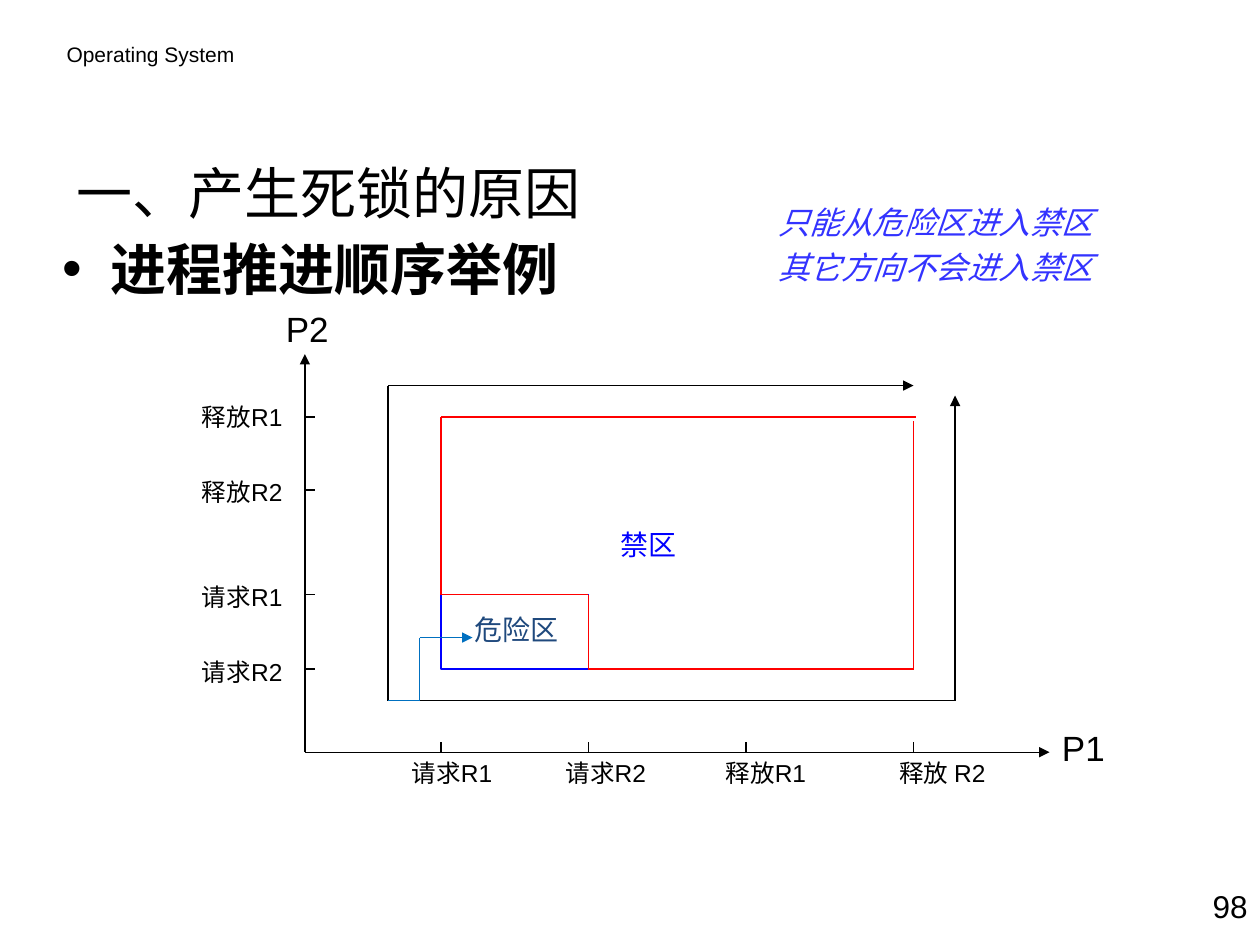
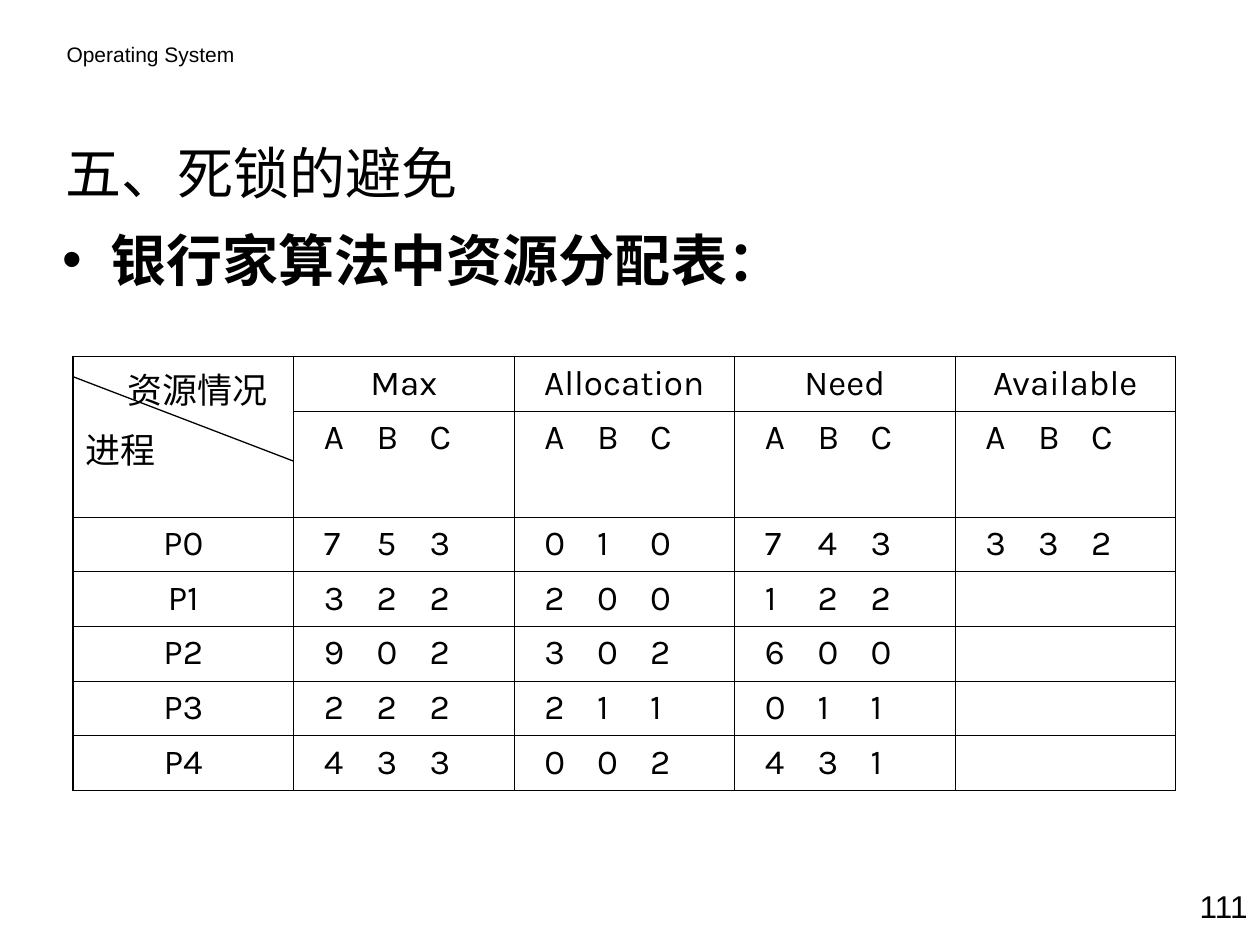
from dataclasses import dataclass
from itertools import pairwise

from lxml.etree import SubElement as Sub
from pptx import Presentation
from pptx.dml.color import RGBColor as RGB
from pptx.enum.shapes import MSO_CONNECTOR as Conn, MSO_SHAPE as Shape
from pptx.enum.text import MSO_ANCHOR as Anchor, PP_ALIGN as Align
from pptx.oxml.ns import qn
from pptx.util import Inches, Pt


@dataclass(frozen=True)
class Theme:
    # Colours
    ink: str = "000000"
    red: str = "FF0000"
    blue: str = "0000FF"
    navy: str = "1F497D"
    sky: str = "0070C0"
    note: str = "3333FF"
    # Fonts
    sans: str = "Arial"
    han: str = "Noto Sans CJK SC"
    grid: str = "Karla"
    # Type sizes
    head: int = 32
    axis: int = 20
    side: int = 18
    zone: int = 16
    tick: int = 14
    band: int = 12
    # Line widths
    line: float = 0.75
    thin: float = 0.45
    edge: float = 1.08


T = Theme()


# Shared helpers

def assign(item, values):
    for key, value in values.items():
        setattr(item, key, value)


def style(run, size, color=T.ink, face=T.sans, **more):
    assign(run.font, {"size": Pt(size), "name": face, **more})
    run.font.color.rgb = RGB.from_string(color)
    Sub(run._r.get_or_add_rPr(), qn("a:ea"), typeface=T.han)


def set_tabs(para, stops):
    tabs = Sub(para._p.get_or_add_pPr(), qn("a:tabLst"))
    for stop in stops:
        Sub(tabs, qn("a:tab"), pos=str(Inches(stop)), algn="l")


def set_bullet(para):
    props = para._p.get_or_add_pPr()
    props.set("marL", str(Inches(0.38)))
    props.set("indent", str(-Inches(0.38)))
    Sub(props, qn("a:buFont"), typeface=T.sans)
    Sub(props, qn("a:buChar"), char="•")


def write(frame, lines, size, align=Align.LEFT, gaps=(), **look):
    """Fill a frame; gaps holds the space before each line after the first."""
    for i, line in enumerate(lines):
        para = frame.add_paragraph() if i else frame.paragraphs[0]
        para.alignment = align
        if i and gaps:
            para.space_before = Pt(gaps[i - 1])
        run = para.add_run()
        run.text = line
        style(run, size, **look)


def add_text(slide, box, lines, size, frame_look=None, **look):
    frame = slide.shapes.add_textbox(*map(Inches, box)).text_frame
    assign(frame, {"word_wrap": True, **(frame_look or {})})
    write(frame, lines, size, **look)
    return frame


def add_route(slide, points, color=T.ink, arrow=False):
    """Join the points with lines, the last of which may carry an arrow."""
    for start, end in pairwise(points):
        line = slide.shapes.add_connector(
            Conn.STRAIGHT, *map(Inches, (*start, *end)))
        line.line.width = Pt(T.line)
        line.line.color.rgb = RGB.from_string(color)
        props = line._element.spPr
        if arrow and end == points[-1]:
            Sub(props.find(qn("a:ln")), qn("a:tailEnd"), type="triangle")
        Sub(props, qn("a:effectLst"))


def add_frame(deck, title, title_at, topic, topic_top, number):
    """Band, title, bulleted topic and page number of every slide."""
    slide = deck.slides.add_slide(deck.slide_layouts[6])
    add_text(slide, (0.43, 0.28, 4.1, 0.3), ["Operating System"], T.band)
    add_text(slide, (*title_at, 9, 0.75), [title], T.head,
             {"vertical_anchor": Anchor.MIDDLE}, face=T.han)
    body = add_text(slide, (0.5, topic_top, 9.5, 0.92), [topic], T.head,
                    {"margin_left": 0, "margin_right": 0},
                    face=T.han, bold=True)
    set_bullet(body.paragraphs[0])
    add_text(slide, (9, 6.99, 1, 0.4), [number], T.side, align=Align.RIGHT)
    return slide


# Progress diagram

def add_plot(slide, left, top):
    def at(*points):
        return [(left + x, top + y) for x, y in points]

    def label(x, y, wide, high, lines, size, **look):
        return add_text(slide, (left + x, top + y, wide, high),
                        lines, size, **look)

    zero_x, zero_y = 1, 3.58
    cols = ask1, ask2, _, free2 = 2.08, 3.25, 4.5, 5.83
    rows = low, mid, _, high = 2.92, 2.33, 1.5, 0.92
    tick = 0.08

    # Axes and ticks
    for end in ((6.91, zero_y), (zero_x, 0.42)):
        add_route(slide, at((zero_x, zero_y), end), arrow=True)
    for x in cols:
        add_route(slide, at((x, zero_y - tick), (x, zero_y)))
    for y in rows:
        add_route(slide, at((zero_x, y), (zero_x + tick, y)))

    # Axis names and tick labels
    label(6.91, 3.33, 0.58, 0.44, ["P1"], T.axis)
    label(0.75, 0, 0.58, 0.44, ["P2"], T.axis)
    names = label(1.75, zero_y, 5.08, 0.34,
                  ["请求R1\t请求R2\t释放R1\t释放 R2"], T.tick)
    set_tabs(names.paragraphs[0], (1.22, 2.49, 3.87))
    label(0, 0.75, 0.92, 2.36, ["释放R1", "释放R2", "请求R1", "请求R2"],
          T.tick, align=Align.RIGHT, gaps=(26.2, 43, 26.2))

    # Danger zone
    x, y = at((ask1, mid))[0]
    zone = slide.shapes.add_shape(
        Shape.RECTANGLE, *map(Inches, (x, y, ask2 - ask1, low - mid)))
    zone.shadow.inherit = False
    zone.fill.background()
    zone.line.width = Pt(T.line)
    zone.line.color.rgb = RGB.from_string(T.blue)

    # Outline of the forbidden zone
    for points in (
        [(ask1, mid), (ask1, high), (free2 + 0.02, high)],
        [(ask2, low), (free2, low), (free2, high + 0.03)],
        [(ask1, mid), (ask2, mid), (ask2, low)],
    ):
        add_route(slide, at(*points), T.red)
    label(2.25, 2.42, 0.92, 0.37, ["危险区"], T.zone, color=T.navy)
    label(3.41, 1.75, 0.92, 0.37, ["禁区"], T.zone, color=T.blue)

    # Safe routes around it and the route into danger
    start = (1.66, 3.17)
    for color, points in (
        (T.ink, [(6.16, 3.17), (6.16, 0.75)]),
        (T.ink, [(1.66, 0.67), (free2, 0.67)]),
        (T.sky, [(1.91, 3.17), (1.91, 2.67), (2.33, 2.67)]),
    ):
        add_route(slide, at(start, *points), color, arrow=True)


def add_cause(deck):
    slide = add_frame(deck, "一、产生死锁的原因", (0.51, 1.15),
                      "进程推进顺序举例", 1.81, "98")
    add_plot(slide, 1.42, 2.39)
    add_text(slide, (6.08, 1.56, 3.58, 0.77),
             ["只能从危险区进入禁区", "其它方向不会进入禁区"], T.side,
             gaps=(4.5,), color=T.note, italic=True)


# Allocation table

HEADS = ("Max", "Allocation", "Need", "Available")
ROWS = (
    ("P0", "753", "010", "743", "332"),
    ("P1", "322", "200", "122", ""),
    ("P2", "902", "302", "600", ""),
    ("P3", "222", "211", "011", ""),
    ("P4", "433", "002", "431", ""),
)


def set_borders(cell, outer):
    props = cell._tc.get_or_add_tcPr()
    for side in "LRTB":
        width = T.edge if side in outer else T.thin
        line = Sub(props, qn("a:ln" + side), w=str(Pt(width)))
        fill = Sub(line, qn("a:solidFill"))
        Sub(fill, qn("a:srgbClr"), val=T.ink)
    cell.fill.background()


def add_grid(slide, left, top, wide, high):
    data = [("", *HEADS), ("", *["ABC"] * len(HEADS)), *ROWS]
    count, span = len(data), len(data[0])
    table = slide.shapes.add_table(
        count, span, *map(Inches, (left, top, wide, high))).table
    assign(table, {"first_row": False, "horz_banding": False})
    for col in table.columns:
        col.width = Inches(wide / span)
    for i, row in enumerate(table.rows):
        row.height = Inches(0.84 if i == 1 else 0.43)

    # Cells: names are centred, triples stand on tab stops
    for i, values in enumerate(data):
        for j, text in enumerate(values):
            cell = table.cell(i, j)
            outer = {"L": j == 0, "R": j == span - 1,
                     "T": i == 0, "B": i == count - 1}
            set_borders(cell, [side for side, on in outer.items() if on])
            if i and j and text:
                cell.margin_left = Inches(0.24)
                write(cell.text_frame, ["\t".join(text)], T.axis, face=T.grid)
                set_tabs(cell.text_frame.paragraphs[0], (0.42, 0.84))
            elif text:
                write(cell.text_frame, [text], T.axis, Align.CENTER,
                      face=T.grid)

    # Split corner
    corner = table.cell(0, 0)
    corner.merge(table.cell(1, 0))
    write(corner.text_frame, ["资源情况", "进程"], T.axis, gaps=(5,),
          face=T.grid)
    first = corner.text_frame.paragraphs[0]
    first._p.get_or_add_pPr().set("marL", str(Inches(0.33)))
    add_route(slide, [(left, top + 0.16), (left + wide / span, top + 0.83)])


def add_avoid(deck):
    slide = add_frame(deck, "五、死锁的避免", (0.42, 0.99),
                      "银行家算法中资源分配表：", 1.74, "111")
    add_grid(slide, 0.58, 2.83, 8.75, 3.42)


def main():
    deck = Presentation()
    assign(deck, {"slide_width": Inches(10), "slide_height": Inches(7.5)})
    add_cause(deck)
    add_avoid(deck)
    deck.save("out.pptx")


if __name__ == "__main__":
    main()
